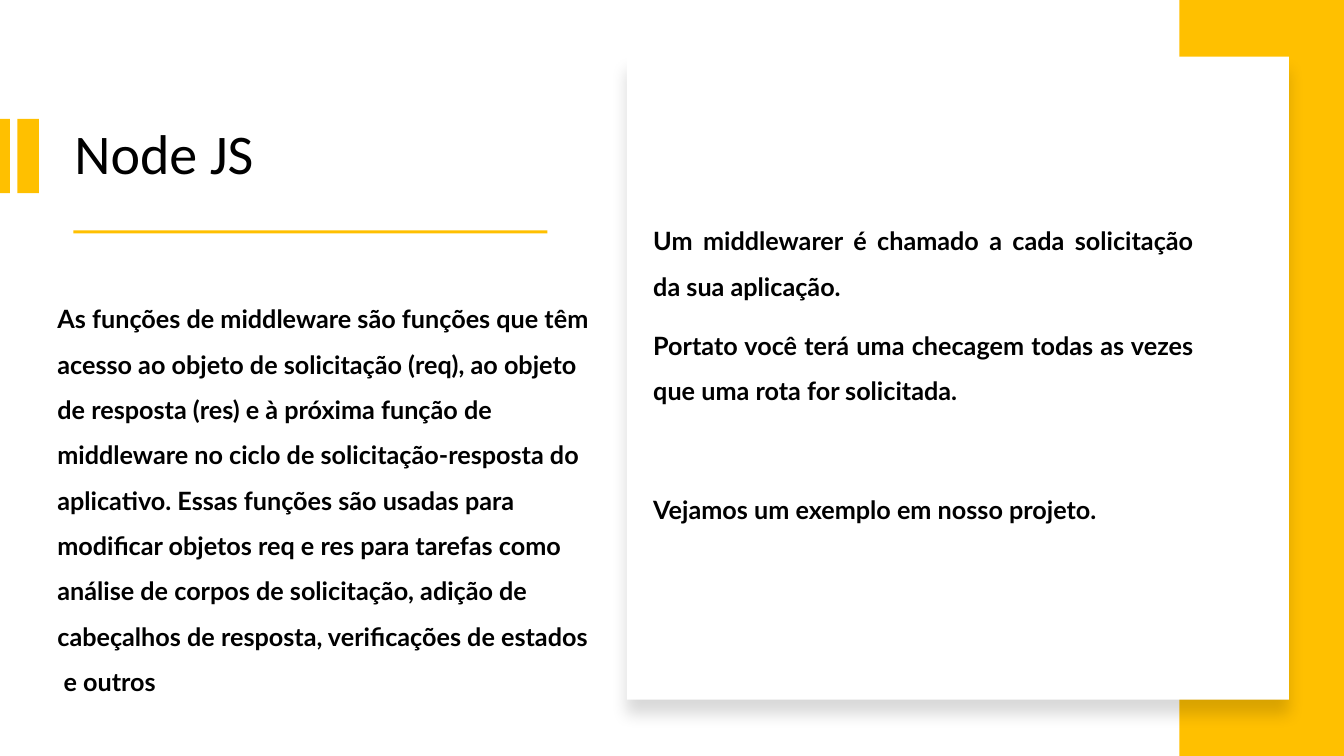
from lxml import etree
from pptx import Presentation
from pptx.dml.color import RGBColor
from pptx.enum.shapes import MSO_SHAPE
from pptx.enum.text import MSO_ANCHOR, MSO_AUTO_SIZE, PP_ALIGN
from pptx.oxml import parse_xml
from pptx.util import Pt

RECTANGLE = MSO_SHAPE.RECTANGLE
MIDDLE = MSO_ANCHOR.MIDDLE
NO_AUTOFIT = MSO_AUTO_SIZE.NONE
LEFT, JUSTIFY = PP_ALIGN.LEFT, PP_ALIGN.JUSTIFY
DRAWING = "http://schemas.openxmlformats.org/drawingml/2006/main"
YELLOW, WHITE, BLACK = "FFC000", "FFFFFF", "000000"
TWO_CONTENT = 3


def add_block(left, top, width, height, color):
    block = page.shapes.add_shape(RECTANGLE, Pt(left), Pt(top), Pt(width), Pt(height))
    block.shadow.inherit = False
    block.fill.solid()
    block.fill.fore_color.rgb = RGBColor.from_string(color)
    block.line.fill.background()
    return block


def write_box(box, bounds, lines, font_name, size, bold, align, spacing):
    """Place a placeholder and fill it with (text, space before) lines."""
    box.left, box.top, box.width, box.height = [Pt(length) for length in bounds]
    frame = box.text_frame
    frame.word_wrap = True
    frame.auto_size = NO_AUTOFIT
    frame.vertical_anchor = MIDDLE
    frame.text = "\n".join(text for text, _ in lines)
    for para, (_, gap) in zip(frame.paragraphs, lines):
        para.alignment = align
        para.line_spacing = spacing
        para.space_before = Pt(gap)
        para.font.name = font_name
        para.font.size = Pt(size)
        para.font.bold = bold
        para.font.color.rgb = RGBColor.from_string(BLACK)
        properties = para._p.get_or_add_pPr()
        properties.set("marL", "0")
        properties.set("indent", "0")
        bullet_off = etree.Element(f"{{{DRAWING}}}buNone")
        properties.find(f"{{{DRAWING}}}defRPr").addprevious(bullet_off)
    # Text stays in front of the blocks
    page.shapes._spTree.append(box._element)


deck = Presentation()
deck.slide_width, deck.slide_height = Pt(960), Pt(540)
page = deck.slides.add_slide(deck.slide_layouts[TWO_CONTENT])
title, explanation, usage = list(page.placeholders)

# Title accents, underline and right band
for bounds in [
    (0, 85, 7, 53),
    (12.5, 85, 15.25, 53),
    (52.5, 164.5, 338.5, 2.25),
    (842.4, 0, 117.6, 540),
]:
    add_block(*bounds, YELLOW)

# White card with a soft shadow below
card = add_block(447.8, 40.4, 473, 459.4, WHITE)
effects = card._element.spPr.find(f"{{{DRAWING}}}effectLst")
effects.append(parse_xml(
    f'<a:outerShdw xmlns:a="{DRAWING}" blurRad="{Pt(11)}" dist="{Pt(10)}" '
    f'dir="5400000" algn="t" rotWithShape="0"><a:srgbClr val="{BLACK}">'
    '<a:alpha val="15000"/></a:srgbClr></a:outerShdw>'
))

write_box(title, (46, 67.7, 359.3, 88.5), [("Node JS", 0)],
          "Calibri", 40, False, LEFT, 0.9)

explanation_lines = [(
    "As funções de middleware são funções que têm acesso ao objeto de "
    "solicitação (req), ao objeto de resposta (res) e à próxima função de "
    "middleware no ciclo de solicitação-resposta do aplicativo. Essas funções "
    "são usadas para modificar objetos req e res para tarefas como análise de "
    "corpos de solicitação, adição de cabeçalhos de resposta, verificações de "
    "estados  e outros", 10)]
write_box(explanation, (33.8, 175, 396, 353.5), explanation_lines,
          "Lato", 18, True, LEFT, 1.5)

usage_lines = [
    ("Um middlewarer é chamado a cada solicitação da sua aplicação.", 10),
    ("Portato você terá uma checagem todas as vezes que uma rota for solicitada.", 10),
    ("Vejamos um exemplo em nosso projeto.", 52.4),
]
write_box(usage, (459.4, 40.4, 400.3, 444.2), usage_lines,
          "Lato", 18, True, JUSTIFY, 1.5)

deck.save("out.pptx")
